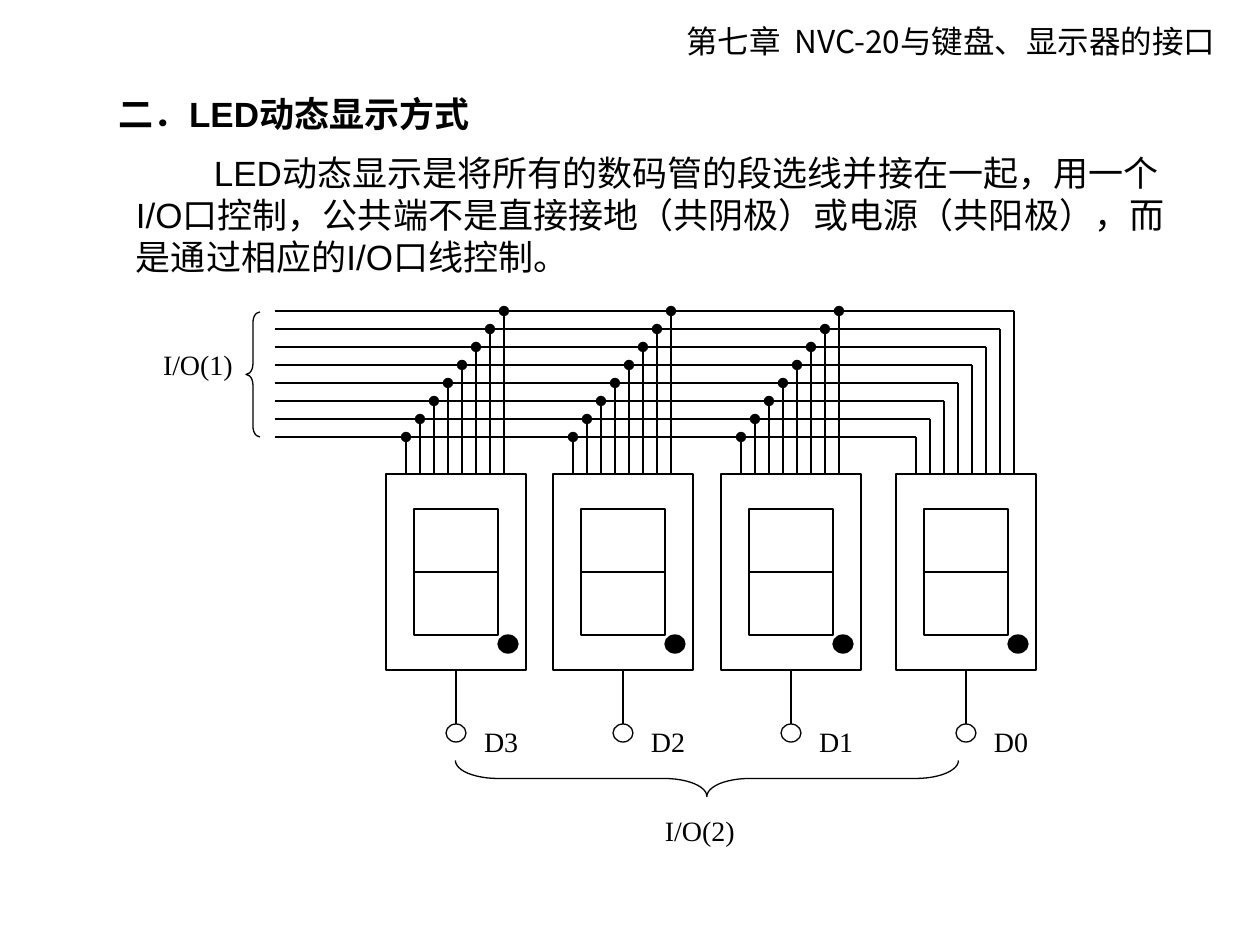
from lxml import etree
from pptx import Presentation
from pptx.dml.color import RGBColor
from pptx.enum.shapes import MSO_CONNECTOR, MSO_SHAPE
from pptx.enum.text import MSO_ANCHOR, PP_ALIGN
from pptx.oxml.ns import qn
from pptx.util import Emu, Pt

SCALE = 914400 // 126
STRAIGHT = MSO_CONNECTOR.STRAIGHT
RECTANGLE = MSO_SHAPE.RECTANGLE
OVAL = MSO_SHAPE.OVAL
LEFT_BRACE = MSO_SHAPE.LEFT_BRACE
TOP, MIDDLE = MSO_ANCHOR.TOP, MSO_ANCHOR.MIDDLE
JUSTIFY = PP_ALIGN.JUSTIFY
COLORS = {"black": "000000", "white": "FFFFFF"}
HEADING_FONT = "Arial"
CHINESE_FONT = "Noto Sans CJK JP"
LABEL_FONT = "Times New Roman"
LINE_WIDTH = 0.75

DIGITS = {"D3": 386, "D2": 553, "D1": 721, "D0": 896}
DIGIT_TOP, DIGIT_BOTTOM = 474, 670
SEGMENT_COUNT = 8
BUS_LEFT, BUS_BOTTOM, BUS_GAP = 275, 437, 18
PIN_INSET, PIN_GAP = 20, 14


def px(value):
    return Emu(value * SCALE)


def color(name):
    return RGBColor.from_string(COLORS[name])


def set_outline(line):
    line.color.rgb = color("black")
    line.width = Pt(LINE_WIDTH)


def add_outlined(slide, kind, left, top, width, height, fill=None):
    shape = slide.shapes.add_shape(kind, px(left), px(top), px(width), px(height))
    shape.shadow.inherit = False
    if fill:
        shape.fill.solid()
        shape.fill.fore_color.rgb = color(fill)
    else:
        shape.fill.background()
    set_outline(shape.line)
    return shape


def add_line(slide, x1, y1, x2, y2, dotted_end=False):
    line = slide.shapes.add_connector(STRAIGHT, px(x1), px(y1), px(x2), px(y2))
    set_outline(line.line)
    if dotted_end:
        outline = line.line._get_or_add_ln()
        etree.SubElement(outline, qn("a:tailEnd"), type="oval")
    etree.SubElement(line._element.spPr, qn("a:effectLst"))


def add_text(slide, text, box, font, size, bold=False, anchor=TOP, wrap=True,
             inset=(13, 6), spacing=None, indent=0, align=None):
    shape = slide.shapes.add_textbox(*map(px, box))
    frame = shape.text_frame
    frame.word_wrap = wrap
    frame.vertical_anchor = anchor
    frame.margin_left = frame.margin_right = px(inset[0])
    frame.margin_top = frame.margin_bottom = px(inset[1])
    paragraph = frame.paragraphs[0]
    paragraph.alignment = align
    if spacing:
        paragraph.line_spacing = Pt(spacing)
    if indent:
        paragraph._p.get_or_add_pPr().set("indent", str(px(indent)))
    run = paragraph.add_run()
    run.text = text
    run.font.name = font
    run.font.size = Pt(size)
    run.font.bold = bold
    run.font.color.rgb = color("black")
    etree.SubElement(run._r.get_or_add_rPr(), qn("a:ea"), typeface=CHINESE_FONT)


def add_label(slide, text, left, top, width):
    add_text(slide, text, (left, top, width, 35), LABEL_FONT, 16,
             inset=(0, 0), align=JUSTIFY)


def bus_y(index):
    return BUS_BOTTOM - BUS_GAP * index


def pin_x(digit_left, index):
    return digit_left + PIN_INSET + PIN_GAP * index


def add_digit(slide, name, left, tapped):
    center = left + 70
    add_outlined(slide, RECTANGLE, left, DIGIT_TOP, 140, DIGIT_BOTTOM - DIGIT_TOP, "white")
    add_outlined(slide, RECTANGLE, left + 28, 509, 84, 126, "white")
    add_line(slide, left + 28, 572, left + 112, 572)
    add_outlined(slide, OVAL, left + 112, 635, 20, 18, "black")
    add_line(slide, center, DIGIT_BOTTOM, center, 724)
    add_outlined(slide, OVAL, center - 10, 724, 20, 18, "white")
    for index in range(SEGMENT_COUNT):
        x = pin_x(left, index)
        add_line(slide, x, DIGIT_TOP, x, bus_y(index), tapped)
    add_label(slide, name, left + 98, 725, 55)


def add_bus(slide):
    for index in range(SEGMENT_COUNT):
        y = bus_y(index)
        add_line(slide, BUS_LEFT, y, pin_x(DIGITS["D0"], index), y)


def add_brace(slide, left, top, width, height, curve, rotation=0):
    brace = add_outlined(slide, LEFT_BRACE, left, top, width, height)
    brace.adjustments[0] = curve
    brace.rotation = rotation


def main():
    presentation = Presentation()
    presentation.slide_width, presentation.slide_height = px(1260), px(945)
    slide = presentation.slides.add_slide(presentation.slide_layouts[6])

    add_text(slide, "第七章  NVC-20与键盘、显示器的接口", (673, 16, 587, 50),
             CHINESE_FONT, 18, spacing=21.6)
    add_text(slide, "二．LED动态显示方式", (106, 86, 430, 55),
             HEADING_FONT, 20, bold=True, anchor=MIDDLE, spacing=24)
    add_text(slide, "LED动态显示是将所有的数码管的段选线并接在一起，用一个I/O口控制，"
             "公共端不是直接接地（共阴极）或电源（共阳极），而是通过相应的I/O口线控制。",
             (123, 145, 1071, 139), HEADING_FONT, 20, anchor=MIDDLE, spacing=24, indent=78)

    for name, left in DIGITS.items():
        add_digit(slide, name, left, tapped=name != "D0")
    add_bus(slide)

    add_brace(slide, 246, 312, 14, 125, 0.75)
    add_brace(slide, 689, 527, 36, 503, 1.18, rotation=270)
    add_label(slide, "I/O(1)", 163, 348, 84)
    add_label(slide, "I/O(2)", 665, 814, 84)

    presentation.save("out.pptx")


if __name__ == "__main__":
    main()
